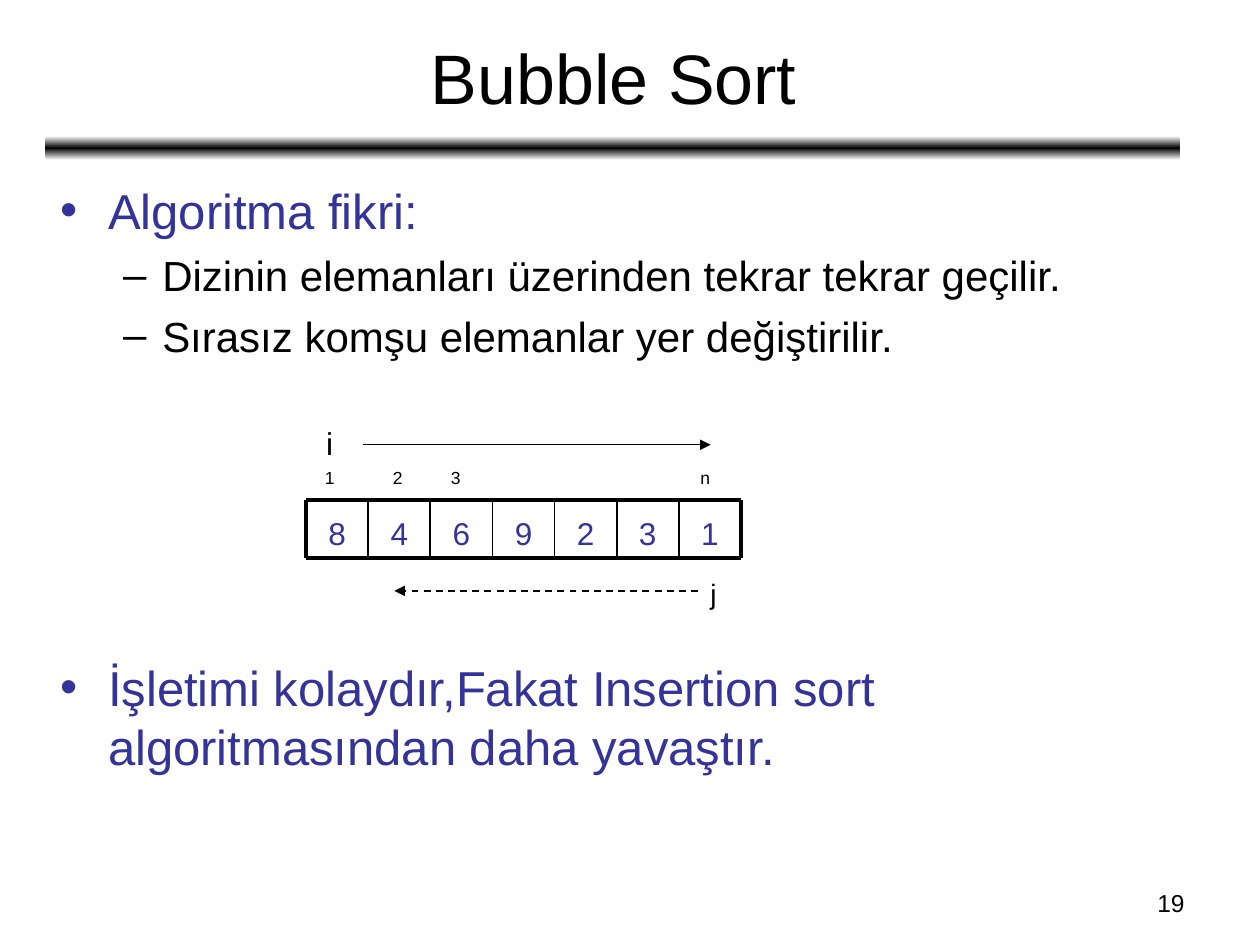
from lxml import etree
from pptx import Presentation, util as u
from pptx.dml.color import RGBColor
from pptx.enum import dml, shapes, text
from pptx.oxml import parse_xml
from pptx.oxml.ns import nsdecls, qn

WIDTH, HEIGHT = 10, 7.5
BLACK, WHITE, BLUE = "000000", "FFFFFF", "333399"
VALUES = [8, 4, 6, 9, 2, 3, 1]
ARRAY_LEFT, ARRAY_TOP, ARRAY_WIDTH, CELL_HEIGHT = 2.43, 3.97, 3.45, 0.46
CELL_WIDTH = ARRAY_WIDTH / len(VALUES)
INDEX_LABELS = {"1": 2.48, "2": 3.02, "3": 3.48, "n": 5.46}
# Level: size, colour, bullet, left margin, hanging indent, space before
LEVELS = [(28, BLUE, "•", 0.38, 0.38, 7), (24, BLACK, "–", 0.81, 0.31, 6)]


def colour(hex_string):
    return RGBColor.from_string(hex_string)


def set_all(target, values):
    for name, value in values.items():
        setattr(target, name, value)


def add_run(paragraph, words, size, hue):
    run = paragraph.add_run()
    run.text = words
    set_all(run.font, {"name": "Arial", "size": u.Pt(size)})
    run.font.color.rgb = colour(hue)


def add_frame(slide, left, top, width, height, **frame_format):
    box = slide.shapes.add_textbox(*map(u.Inches, (left, top, width, height)))
    set_all(box.text_frame, {"word_wrap": True, **frame_format})
    return box.text_frame


def add_label(slide, words, place, size, hue=BLACK,
              align=text.PP_ALIGN.LEFT, **frame_format):
    paragraph = add_frame(slide, *place, **frame_format).paragraphs[0]
    paragraph.alignment = align
    add_run(paragraph, words, size, hue)


def add_bullets(slide, place, items):
    """Write (level, words) pairs as a bulleted list."""
    frame = add_frame(slide, *place)
    for number, (level, words) in enumerate(items):
        size, hue, sign, margin, hanging, before = LEVELS[level]
        paragraph = frame.add_paragraph() if number else frame.paragraphs[0]
        paragraph.level = level
        if number:
            paragraph.space_before = u.Pt(before)
        props = paragraph._p.get_or_add_pPr()
        props.set("marL", str(u.Inches(margin)))
        props.set("indent", str(-u.Inches(hanging)))
        bullet_colour = etree.SubElement(props, qn("a:buClr"))
        etree.SubElement(bullet_colour, qn("a:srgbClr"), val=hue)
        etree.SubElement(props, qn("a:buFont"), typeface="Arial")
        etree.SubElement(props, qn("a:buChar"), char=sign)
        add_run(paragraph, words, size, hue)


def add_line(slide, start, end, weight, arrow=False, dash=None):
    line = slide.shapes.add_connector(
        shapes.MSO_CONNECTOR.STRAIGHT, *map(u.Inches, (*start, *end)))
    line.line.color.rgb = colour(BLACK)
    set_all(line.line, {"width": u.Pt(weight), "dash_style": dash})
    if arrow:
        etree.SubElement(line.line._get_or_add_ln(), qn("a:tailEnd"), type="triangle")
    etree.SubElement(line._element.spPr, qn("a:effectLst"))


def add_title_rule(slide):
    """Draw the bar under the title, fading from black to white at both edges."""
    bar = slide.shapes.add_shape(
        shapes.MSO_SHAPE.ROUNDED_RECTANGLE, *map(u.Inches, (0.36, 1.08, 9.01, 0.19)))
    bar.shadow.inherit = False
    bar.line.fill.background()
    stops = "".join(
        f'<a:gs pos="{share * 1000}"><a:srgbClr val="{hue}"/></a:gs>'
        for share, hue in ((0, WHITE), (50, BLACK), (100, WHITE)))
    bar._element.spPr.find(qn("a:prstGeom")).addnext(parse_xml(
        f'<a:gradFill {nsdecls("a")}><a:gsLst>{stops}</a:gsLst>'
        '<a:lin ang="5400000" scaled="0"/></a:gradFill>'))


def add_array(slide):
    right, bottom = ARRAY_LEFT + ARRAY_WIDTH, ARRAY_TOP + CELL_HEIGHT
    for column, value in enumerate(VALUES):
        place = (ARRAY_LEFT + column * CELL_WIDTH, ARRAY_TOP, CELL_WIDTH, CELL_HEIGHT)
        add_label(slide, str(value), place, 18, BLUE, text.PP_ALIGN.CENTER,
                  vertical_anchor=text.MSO_ANCHOR.BOTTOM)
    for y in (ARRAY_TOP, bottom):
        add_line(slide, (ARRAY_LEFT, y), (right, y), 2.25)
    for edge in range(len(VALUES) + 1):
        x = ARRAY_LEFT + edge * CELL_WIDTH
        weight = 2.25 if edge in (0, len(VALUES)) else 1
        add_line(slide, (x, ARRAY_TOP), (x, bottom), weight)


def add_passes(slide):
    """Show the index labels and the directions in which i and j move."""
    for index, left in INDEX_LABELS.items():
        add_label(slide, index, (left, 3.66, 0.25, 0.27), 10)
    add_label(slide, "i", (2.49, 3.32, 0.25, 0.4), 18, word_wrap=False)
    add_line(slide, (2.88, 3.53), (5.64, 3.53), 0.75, arrow=True)
    add_label(slide, "j", (5.54, 4.53, 0.25, 0.37), 16, word_wrap=False)
    add_line(slide, (5.54, 4.69), (3.13, 4.69), 1, arrow=True,
             dash=dml.MSO_LINE.DASH)


def main():
    deck = Presentation()
    set_all(deck, {"slide_width": u.Inches(WIDTH), "slide_height": u.Inches(HEIGHT)})
    slide = deck.slides.add_slide(deck.slide_layouts[6])
    add_title_rule(slide)
    add_label(slide, "19", (7.17, 7, 2.33, 0.35), 14, align=text.PP_ALIGN.RIGHT)
    add_label(slide, "Bubble Sort", (0.37, 0.11, 9, 0.99), 40,
              align=text.PP_ALIGN.CENTER, vertical_anchor=text.MSO_ANCHOR.MIDDLE)
    add_bullets(slide, (0.38, 1.38, 9, 1.6), [
        (0, "Algoritma fikri:"),
        (1, "Dizinin elemanları üzerinden tekrar tekrar geçilir."),
        (1, "Sırasız komşu elemanlar yer değiştirilir."),
    ])
    add_bullets(slide, (0.38, 5.17, 9, 1.71), [
        (0, "İşletimi kolaydır,Fakat Insertion sort algoritmasından daha yavaştır."),
    ])
    add_passes(slide)
    add_array(slide)
    deck.save("out.pptx")


if __name__ == "__main__":
    main()
